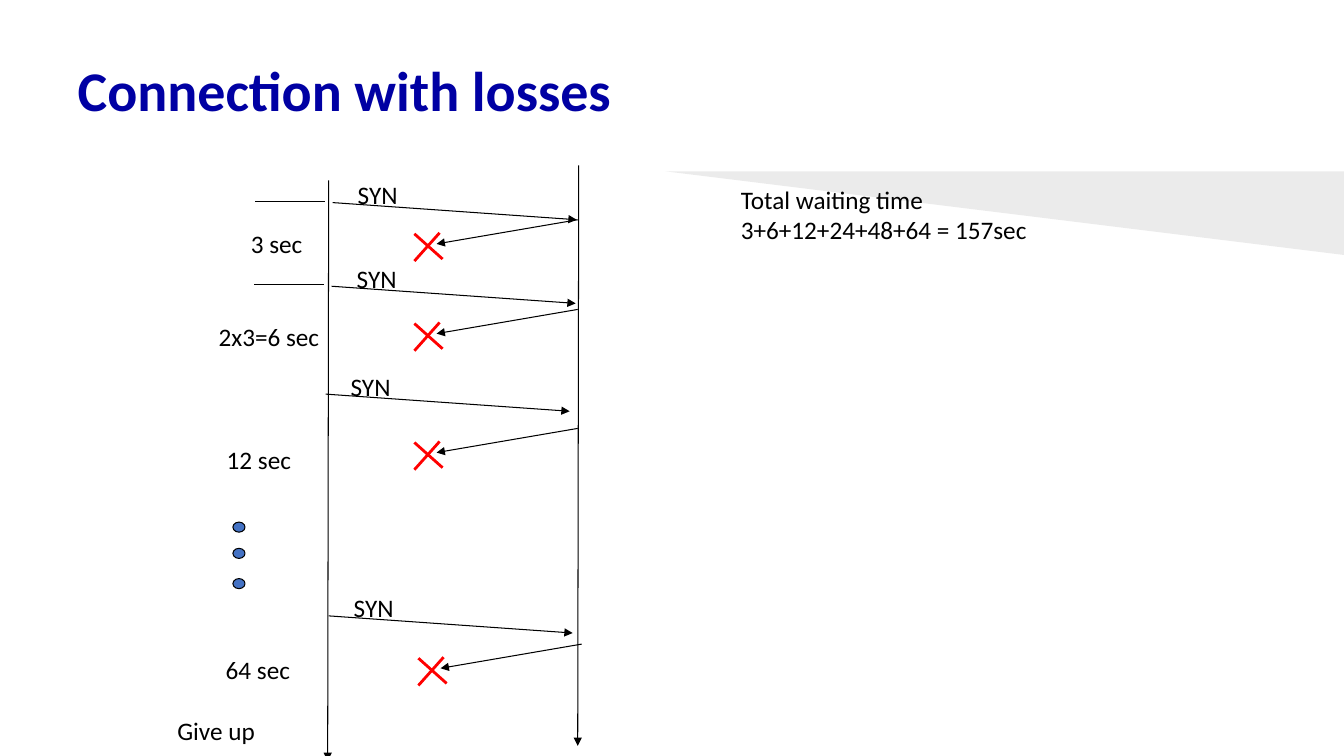
from typing import NamedTuple

from lxml import etree
from pptx import Presentation
from pptx.dml.color import RGBColor
from pptx.enum import shapes, text
from pptx.oxml import ns
from pptx.util import Inches, Pt

FONT = "Calibri"
BLACK, RED, BLUE, NAVY, WHITE = "000000", "FF0000", "4472C4", "0000A3", "FFFFFF"

Point = tuple[float, float]


class Label(NamedTuple):
    left: float
    top: float
    width: float
    lines: list[str]
    height: float = 0.4


class Attempt(NamedTuple):
    """Start of a SYN arrow and start of the reply that gets lost."""
    syn: Point
    reply: Point


class Wedge(NamedTuple):
    points: list[Point]
    color: str
    opacity: int


LABELS = [
    Label(2.39, 2.22, 0.72, ["3 sec"]),
    Label(2.07, 3.14, 1.21, ["2x3=6 sec"]),
    Label(2.15, 4.36, 0.85, ["12 sec"]),
    Label(2.14, 6.44, 0.85, ["64 sec"]),
    Label(1.66, 7.05, 0.98, ["Give up"]),
    Label(7.25, 1.78, 3.07, ["Total waiting time", "3+6+12+24+48+64 = 157sec"], 0.71),
]
ATTEMPTS = [
    Attempt((3.3, 2.01), (5.73, 2.18)),
    Attempt((3.29, 2.84), (5.73, 3.07)),
    Attempt((3.23, 3.91), (5.73, 4.25)),
    Attempt((3.26, 6.11), (5.77, 6.39)),
]
TIMELINES = [((3.26, 1.79), (3.25, 7.55)), ((5.74, 1.64), (5.73, 7.4))]
TIMER_MARKS = [((3.22, 2.0), (2.53, 2.0)), ((3.21, 2.82), (2.52, 2.82))]
DOT_TOPS = [5.18, 5.44, 5.74]
WEDGES = [
    Wedge([(13.33, 1.7), (6.6, 1.7), (13.33, 0.83)], WHITE, 7),
    Wedge([(13.33, 1.7), (6.6, 1.7), (13.33, 2.53)], BLACK, 8),
]


def rgb(color: str) -> RGBColor:
    return RGBColor.from_string(color)


def add_run(paragraph, wording: str, size: float, color: str, bold: bool = False) -> None:
    run = paragraph.add_run()
    run.text = wording
    run.font.name = FONT
    run.font.size = Pt(size)
    run.font.bold = bold
    run.font.color.rgb = rgb(color)


def add_line(container, start: Point, end: Point, color: str = BLACK,
             width: float = 0.75, arrow: bool = False) -> None:
    connector = container.add_connector(
        shapes.MSO_CONNECTOR.STRAIGHT, *map(Inches, (*start, *end)))
    connector.line.color.rgb = rgb(color)
    connector.line.width = Pt(width)
    if arrow:
        etree.SubElement(connector.line._get_or_add_ln(), ns.qn("a:tailEnd"), type="triangle")
    etree.SubElement(connector._element.spPr, ns.qn("a:effectLst"))


def add_label(container, label: Label) -> None:
    box = container.add_textbox(
        *map(Inches, (label.left, label.top, label.width, label.height)))
    frame = box.text_frame
    frame.word_wrap = False
    frame.auto_size = text.MSO_AUTO_SIZE.SHAPE_TO_FIT_TEXT
    for index, line in enumerate(label.lines):
        paragraph = frame.add_paragraph() if index else frame.paragraphs[0]
        add_run(paragraph, line, 18, BLACK)


def add_attempt(container, attempt: Attempt) -> None:
    """Draw the SYN arrow with its label, then the reply ending in a red cross."""
    x, y = attempt.syn
    request = container.add_group_shape().shapes
    add_line(request, (x, y), (x + 2.42, y + 0.17), arrow=True)
    add_label(request, Label(x + 0.15, y - 0.28, 0.6, ["SYN"]))

    x, y = attempt.reply
    loss = container.add_group_shape().shapes
    add_line(loss, (x, y), (x - 1.4, y + 0.24), arrow=True)
    add_line(loss, (x - 1.62, y + 0.14), (x - 1.34, y + 0.39), RED, 2)
    add_line(loss, (x - 1.62, y + 0.41), (x - 1.37, y + 0.13), RED, 2)


def add_wedge(container, wedge: Wedge) -> None:
    corners = [(Inches(x), Inches(y)) for x, y in wedge.points]
    builder = container.build_freeform(*corners[0])
    builder.add_line_segments(corners[1:], close=True)
    shape = builder.convert_to_shape()
    shape.shadow.inherit = False
    shape.line.fill.background()
    shape.fill.solid()
    shape.fill.fore_color.rgb = rgb(wedge.color)
    color = shape._element.spPr.find(".//" + ns.qn("a:srgbClr"))
    etree.SubElement(color, ns.qn("a:alpha"), val=str(wedge.opacity * 1000))


def add_dots(container) -> None:
    dots = container.add_group_shape().shapes
    for top in DOT_TOPS:
        dot = dots.add_shape(
            shapes.MSO_SHAPE.OVAL, *map(Inches, (2.31, top, 0.12, 0.1)))
        dot.shadow.inherit = False
        dot.fill.solid()
        dot.fill.fore_color.rgb = rgb(BLUE)
        dot.line.color.rgb = rgb(BLACK)
        dot.line.width = Pt(0.75)


def format_title(title, wording: str) -> None:
    title.left, title.top, title.width, title.height = map(Inches, (0.67, 0.3, 12, 1.25))
    frame = title.text_frame
    frame.margin_left = frame.margin_right = Inches(0.1)
    frame.margin_top = frame.margin_bottom = Inches(0.1)
    frame.vertical_anchor = text.MSO_ANCHOR.MIDDLE
    paragraph = frame.paragraphs[0]
    paragraph.alignment = text.PP_ALIGN.LEFT
    paragraph.line_spacing = 0.9
    add_run(paragraph, wording, 40, NAVY, bold=True)


def main() -> None:
    presentation = Presentation()
    presentation.slide_width, presentation.slide_height = Inches(13.33), Inches(7.5)
    slide = presentation.slides.add_slide(presentation.slide_layouts.get_by_name("Title Only"))
    format_title(slide.shapes.title, "Connection with losses")

    for wedge in WEDGES:
        add_wedge(slide.shapes, wedge)
    for start, end in TIMELINES:
        add_line(slide.shapes, start, end, arrow=True)
    for start, end in TIMER_MARKS:
        add_line(slide.shapes, start, end)
    for attempt in ATTEMPTS:
        add_attempt(slide.shapes, attempt)
    add_dots(slide.shapes)
    for label in LABELS:
        add_label(slide.shapes, label)

    presentation.save("out.pptx")


if __name__ == "__main__":
    main()
